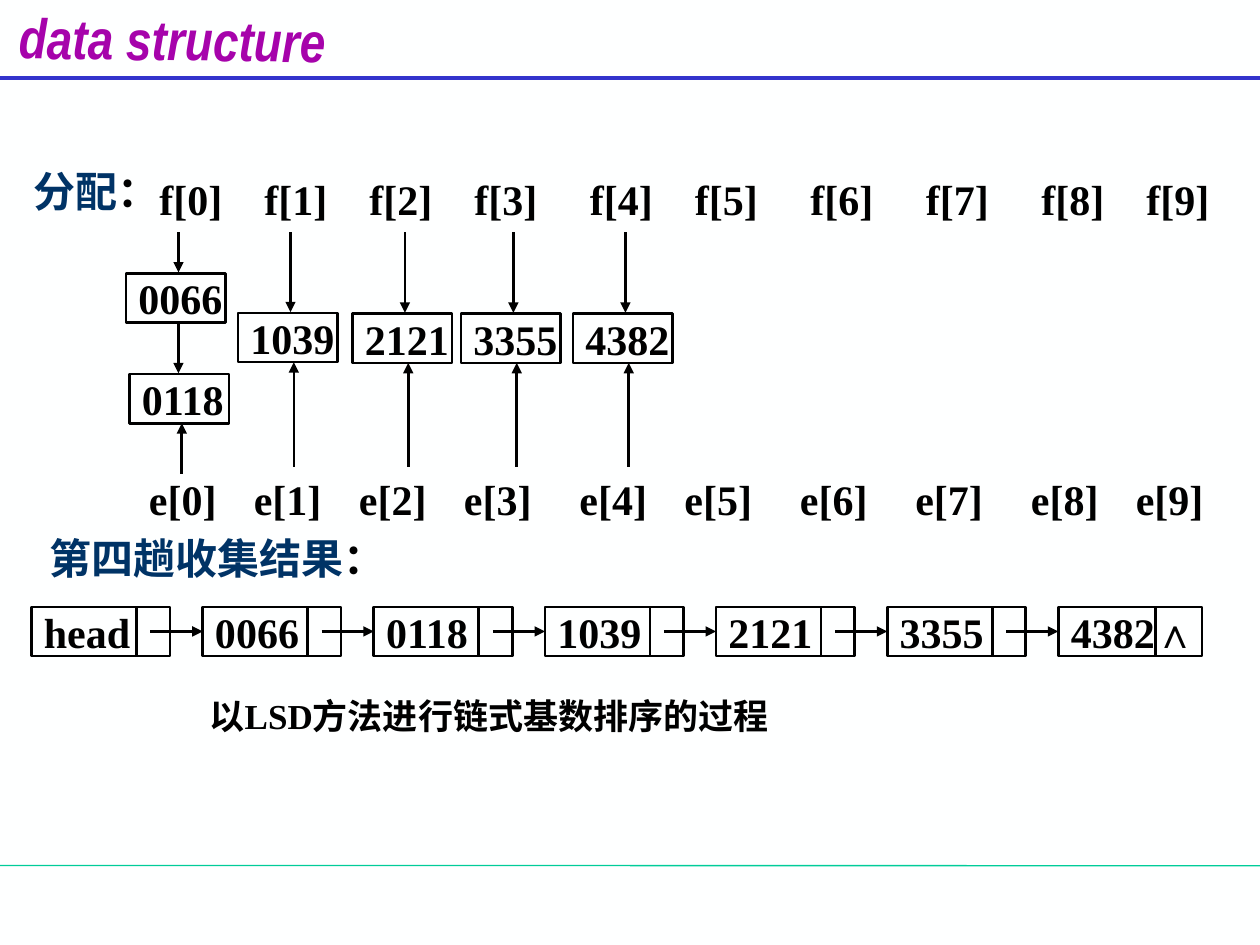
from itertools import accumulate
from lxml.etree import SubElement
from pptx import Presentation
from pptx.dml.color import RGBColor
from pptx.enum.shapes import MSO_CONNECTOR, MSO_SHAPE
from pptx.enum.text import MSO_ANCHOR, PP_ALIGN
from pptx.oxml.ns import qn
from pptx.util import Pt

THEME = {
    "bg": "FEFFFF", "ink": "000000", "label": "003366", "title": "A603AB",
    "top_rule": "3333CC", "foot_rule": "00CC99",
    "serif": "Times New Roman", "narrow": "Arial Narrow",
    "title_size": 32, "body_size": 24, "caption_size": 20,
}
TITLE = "data structure"
LABELS = [
    ("分配", 12.2, 95, 90),
    ("第四趟收集结果", 21.2, 304.6, 215),
]
CAPTION = "以LSD方法进行链式基数排序的过程"
BUCKET_GAPS = [60, 60, 60, 66, 60, 66, 66, 66, 60]
POINTER_ROWS = [("f", 84, 99.4), ("e", 78, 270.7)]
QUEUES = [
    [("0066", 72, 156.2), ("0118", 74, 213.8)],
    [("1039", 136, 178.9)],
    [("2121", 201.4, 179.3)],
    [("3355", 263.4, 179.3)],
    [("4382", 327.4, 179.3)],
]
CHAIN = ["head", "0066", "0118", "1039", "2121", "3355", "4382∧"]

BOX_W, BOX_H = 56.9, 28.1
FRONT_DX, REAR_DX = 30, 31.9
FRONT_Y = 132.8
CHAIN_X, CHAIN_Y, CHAIN_STEP = 18, 346.8, 97.8
NODE_W, LAST_W = 79.2, 82.1
DIVIDER_DX, LAST_DIVIDER_DX, LINK_DX = 60, 55.4, 68

prs = Presentation()
prs.slide_width, prs.slide_height = Pt(720), Pt(540)
s = prs.slides.add_slide(prs.slide_layouts[6])
s.background.fill.solid()
s.background.fill.fore_color.rgb = RGBColor.from_string(THEME["bg"])


def write(sp, runs, size="body_size", font="serif", italic=False, **frame):
    tf = sp.text_frame
    layout = {
        "word_wrap": True, "vertical_anchor": MSO_ANCHOR.MIDDLE,
        "margin_left": Pt(7.2), "margin_right": 0,
        "margin_top": Pt(3.6), "margin_bottom": Pt(3.6),
    }
    for name, value in (layout | frame).items():
        setattr(tf, name, value)
    p = tf.paragraphs[0]
    p.alignment = PP_ALIGN.LEFT
    for text, color in runs:
        r = p.add_run()
        r.text = text
        look = {"size": Pt(THEME[size]), "name": THEME[font], "bold": True, "italic": italic}
        for name, value in look.items():
            setattr(r.font, name, value)
        r.font.color.rgb = RGBColor.from_string(THEME[color])


def text(x, y, w, h, runs, **style):
    sp = s.shapes.add_textbox(Pt(x), Pt(y), Pt(w), Pt(h))
    write(sp, runs, **style)
    return sp


def box(x, y, w, value):
    sp = s.shapes.add_shape(MSO_SHAPE.RECTANGLE, Pt(x), Pt(y), Pt(w), Pt(BOX_H))
    sp.shadow.inherit = False
    sp.fill.background()
    sp.line.color.rgb = RGBColor.from_string(THEME["ink"])
    sp.line.width = Pt(1.5)
    write(sp, [(value, "ink")])
    return sp


def line(x1, y1, x2, y2, color="ink", width=1.5, arrow=False):
    c = s.shapes.add_connector(MSO_CONNECTOR.STRAIGHT, Pt(x1), Pt(y1), Pt(x2), Pt(y2))
    c.line.color.rgb = RGBColor.from_string(THEME[color])
    c.line.width = Pt(width)
    if arrow:
        SubElement(c.line._get_or_add_ln(), qn("a:tailEnd"), type="triangle")
    SubElement(c._element.spPr, qn("a:effectLst"))
    return c


line(0, 494.6, 720, 494.7, "foot_rule", 0.75)
line(0, 44.6, 720, 44.6, "top_rule", 2.25)
title = text(3.8, -0.7, 200, 39, [(TITLE, "title")], size="title_size", font="narrow",
             italic=True, vertical_anchor=MSO_ANCHOR.TOP)
title.rotation = 0.8

for label, x, y, w in LABELS:
    text(x, y, w, BOX_H, [(label, "label"), ("：", "ink")])

for letter, left, y in POINTER_ROWS:
    for i, x in enumerate(accumulate(BUCKET_GAPS, initial=left)):
        text(x, y, 54, BOX_H, [(f"{letter}[{i}]", "ink")])

for queue in QUEUES:
    start_y = FRONT_Y
    front_x = queue[0][1] + FRONT_DX
    for value, x, y in queue:
        line(front_x, start_y, front_x, y - 0.5, arrow=True)
        box(x, y, BOX_W, value)
        start_y = y + BOX_H
    rear_x, rear_y = front_x + REAR_DX - FRONT_DX, 270.7 if len(queue) > 1 else 266.8
    line(rear_x, rear_y, rear_x, start_y, arrow=True)

last = len(CHAIN) - 1
for i, value in enumerate(CHAIN):
    x = CHAIN_X + i * CHAIN_STEP
    node = box(x, CHAIN_Y, LAST_W if i == last else NODE_W, value)
    divider_x = x + (LAST_DIVIDER_DX if i == last else DIVIDER_DX)
    line(divider_x, CHAIN_Y, divider_x, CHAIN_Y + BOX_H)
    if i:
        mid_y = CHAIN_Y + BOX_H / 2
        link = line(x - CHAIN_STEP + LINK_DX, mid_y, x, mid_y, arrow=True)
        link.end_connect(node, 1)

text(112.7, 394.6, 409, BOX_H, [(CAPTION, "ink")], size="caption_size")

prs.save("out.pptx")
